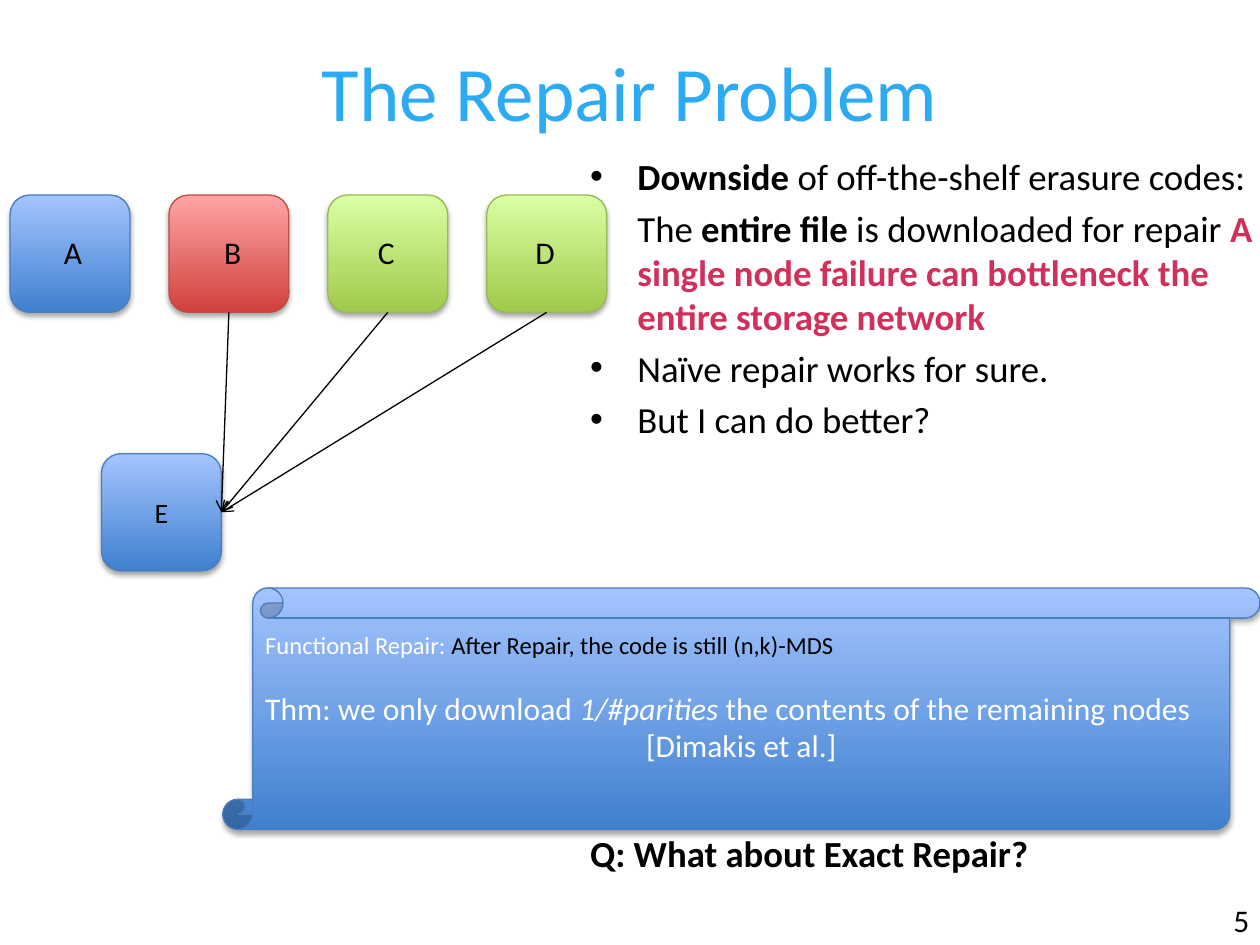
from lxml import etree
from pptx import Presentation
from pptx.dml.color import RGBColor
from pptx.enum import shapes, text
from pptx.oxml import parse_xml
from pptx.oxml.ns import qn
from pptx.util import Pt

BLACK = RGBColor(0, 0, 0)
WHITE = RGBColor(255, 255, 255)
SKY = RGBColor(0x2D, 0xAA, 0xF4)
CRIMSON = RGBColor(0xD1, 0x30, 0x5A)
BLUE = (RGBColor(0x3F, 0x80, 0xCE), RGBColor(0xA4, 0xC4, 0xFF), RGBColor(0x4B, 0x7E, 0xBC))
RED = (RGBColor(0xD1, 0x40, 0x3C), RGBColor(0xFF, 0xA6, 0xA5), RGBColor(0xBF, 0x4C, 0x48))
GREEN = (RGBColor(0xA0, 0xCA, 0x4A), RGBColor(0xDA, 0xFF, 0xA5), RGBColor(0x98, 0xB9, 0x55))
SHADOW = (
    '<a:effectLst xmlns:a="http://schemas.openxmlformats.org/drawingml/2006/main">'
    '<a:outerShdw blurRad="39370" dist="22860" dir="5400000" rotWithShape="0">'
    '<a:srgbClr val="000000"><a:alpha val="35000"/></a:srgbClr>'
    '</a:outerShdw></a:effectLst>'
)
SIDE, TALL = 68.5, 67


def add_block(kind, x, y, w, h, tones):
    block = slide.shapes.add_shape(kind, Pt(x), Pt(y), Pt(w), Pt(h))
    block.fill.gradient()
    block.fill.gradient_angle = 90
    for stop, tone in zip(block.fill.gradient_stops, tones):
        stop.color.rgb = tone
    block.line.color.rgb = tones[2]
    block.line.width = Pt(0.75)
    block._element.spPr.append(parse_xml(SHADOW))
    return block


def add_run(para, words, size, color=BLACK, bold=False, italic=False):
    run = para.add_run()
    run.text = words
    font = run.font
    font.name = "Calibri"
    font.size = Pt(size)
    font.color.rgb = color
    font.bold = bold
    font.italic = italic


prs = Presentation()
prs.slide_width, prs.slide_height = Pt(720), Pt(540)
slide = prs.slides.add_slide(prs.slide_layouts[1])

title = slide.shapes.title
title.left, title.top, title.width, title.height = Pt(36), Pt(22), Pt(648), Pt(90)
frame = title.text_frame
frame.auto_size = text.MSO_AUTO_SIZE.NONE
frame.vertical_anchor = text.MSO_ANCHOR.TOP
frame.paragraphs[0].alignment = text.PP_ALIGN.CENTER
add_run(frame.paragraphs[0], "The Repair Problem", 44, SKY)

body = slide.placeholders[1]
body.left, body.top, body.width, body.height = Pt(330), Pt(84.5), Pt(406), Pt(81)
frame = body.text_frame
frame.auto_size = text.MSO_AUTO_SIZE.NONE
frame.vertical_anchor = text.MSO_ANCHOR.TOP
points = [
    (True, 27, 0, [("Downside", BLACK, True), (" of off-the-shelf erasure codes:", BLACK, False)]),
    (False, 27, 4.2, [
        ("The ", BLACK, False),
        ("entire file", BLACK, True),
        (" is downloaded for repair ", BLACK, False),
        ("A single node failure can bottleneck the entire storage network", CRIMSON, True),
    ]),
    (True, 27, 4.2, [("Naïve repair works for sure.", BLACK, False)]),
    (True, 27, 4.2, [("But I can do better?", BLACK, False)]),
    (False, 0, 223, [("Q: What about Exact Repair?", BLACK, True)]),
]
for i, (dot, left, gap, runs) in enumerate(points):
    para = frame.add_paragraph() if i else frame.paragraphs[0]
    props = para._p.get_or_add_pPr()
    props.set("marL", str(Pt(left)))
    props.set("indent", str(Pt(-left if dot else 0)))
    if dot:
        etree.SubElement(props, qn("a:buFont")).set("typeface", "Arial")
        etree.SubElement(props, qn("a:buChar")).set("char", "•")
    else:
        etree.SubElement(props, qn("a:buNone"))
    para.space_before = Pt(gap)
    for words, color, bold in runs:
        add_run(para, words, 21, color, bold)

nodes = []
labels = [("A", 29.5, BLUE), ("B", 121, RED), ("C", 208.8, GREEN), ("D", 298.8, GREEN)]
for i, (name, x, tones) in enumerate(labels):
    node = add_block(shapes.MSO_SHAPE.ROUNDED_RECTANGLE, 5.75 + 90.8 * i, 111.5, SIDE, TALL, tones)
    nodes.append(node)
    label = slide.shapes.add_textbox(Pt(x), Pt(129.6), Pt(25), Pt(29))
    label.text_frame.word_wrap = False
    add_run(label.text_frame.paragraphs[0], name, 18)

fresh = add_block(shapes.MSO_SHAPE.ROUNDED_RECTANGLE, 58, 259.25, SIDE, TALL, BLUE)
fresh.text_frame.vertical_anchor = text.MSO_ANCHOR.MIDDLE
para = fresh.text_frame.paragraphs[0]
para.alignment = text.PP_ALIGN.CENTER
add_run(para, "E", 16)

for node in nodes[1:]:
    link = slide.shapes.add_connector(shapes.MSO_CONNECTOR.STRAIGHT, 0, 0, 0, 0)
    link.begin_connect(node, 2)
    link.end_connect(fresh, 3)
    link.line.color.rgb = BLACK
    link.line.width = Pt(0.75)
    etree.SubElement(link.line._get_or_add_ln(), qn("a:tailEnd")).set("type", "arrow")
    etree.SubElement(link._element.spPr, qn("a:effectLst"))

scroll = add_block(shapes.MSO_SHAPE.VERTICAL_SCROLL, 127.25, 336, 592.75, 138, BLUE)
frame = scroll.text_frame
frame.word_wrap = True
frame.vertical_anchor = text.MSO_ANCHOR.MIDDLE
frame.margin_bottom = Pt(25.6)
lead = frame.paragraphs[0]
lead.alignment = text.PP_ALIGN.LEFT
add_run(lead, "Functional Repair: ", 14, WHITE)
add_run(lead, "After Repair, the code is still (n,k)-MDS", 14)
claim = frame.add_paragraph()
claim.alignment = text.PP_ALIGN.LEFT
claim.space_before = Pt(17)
add_run(claim, "Thm: we only download ", 18, WHITE)
add_run(claim, "1/#parities", 18, WHITE, italic=True)
add_run(claim, " the contents of the remaining nodes", 18, WHITE)
cite = frame.add_paragraph()
cite.alignment = text.PP_ALIGN.CENTER
add_run(cite, "[Dimakis et al.]", 18, WHITE)

number = slide.shapes.add_textbox(Pt(697.7), Pt(511.2), Pt(39), Pt(29))
number.text_frame.word_wrap = True
add_run(number.text_frame.paragraphs[0], "5", 18)

prs.save("out.pptx")
